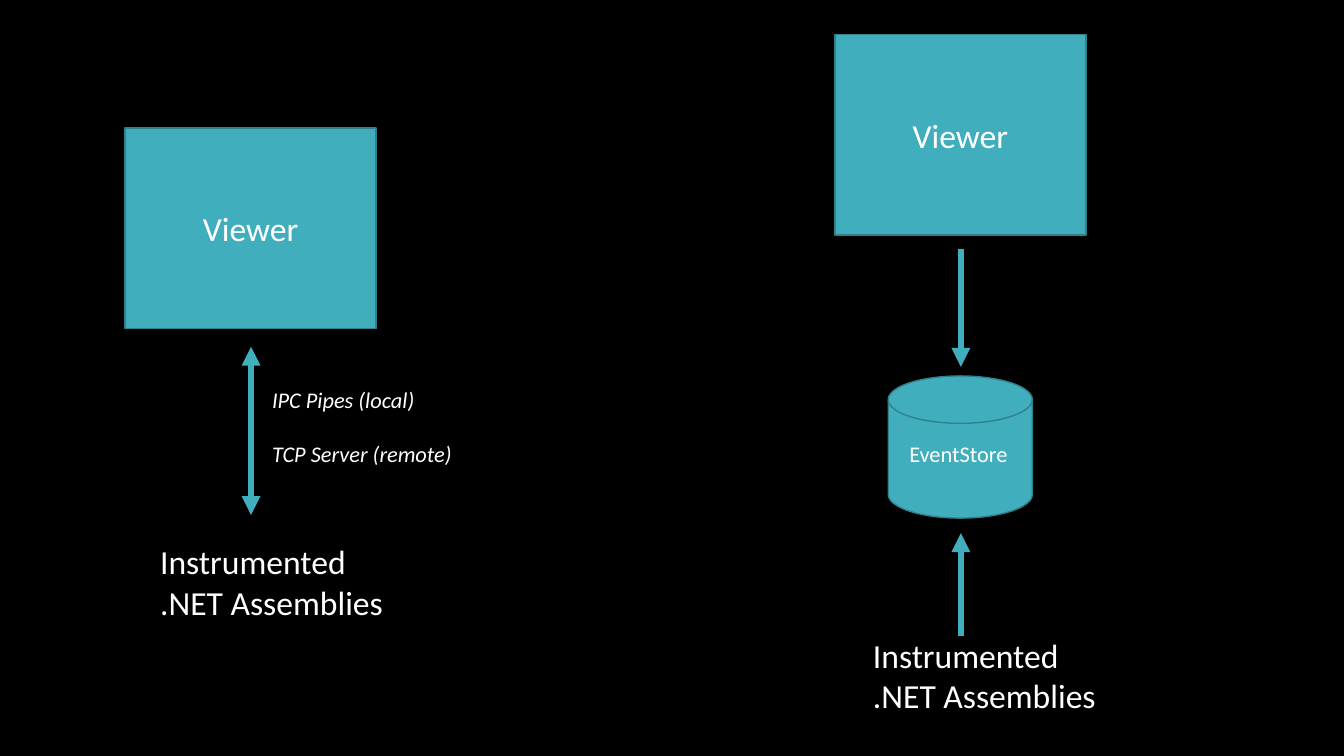
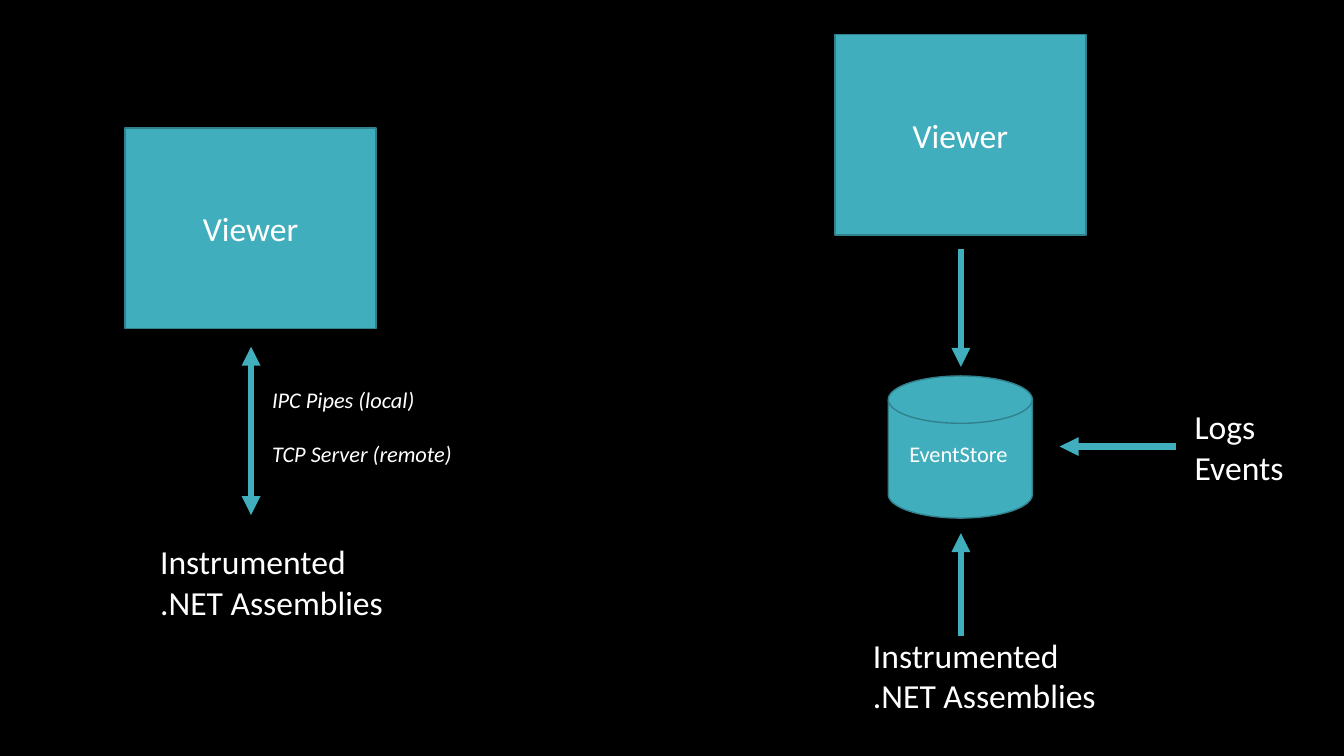
from lxml import etree
from pptx import Presentation
from pptx.dml.color import RGBColor
from pptx.enum.shapes import MSO_CONNECTOR, MSO_SHAPE
from pptx.enum.text import MSO_ANCHOR, MSO_AUTO_SIZE, PP_ALIGN
from pptx.oxml.ns import qn
from pptx.util import Inches, Pt

RECTANGLE = MSO_SHAPE.RECTANGLE
DISK = MSO_SHAPE.FLOWCHART_MAGNETIC_DISK
STRAIGHT = MSO_CONNECTOR.STRAIGHT
MIDDLE = MSO_ANCHOR.MIDDLE
CENTER = PP_ALIGN.CENTER
GROW = MSO_AUTO_SIZE.SHAPE_TO_FIT_TEXT

COLORS = {"background": "000000", "teal": "41AEBD", "outline": "30818C", "text": "FFFFFF"}
FONT = "Calibri"
LARGE, SMALL = 24, 16
VIEWER_W, VIEWER_H = 2.49, 1.99
AXIS = 1.25  # arrows run down the middle of the viewer
ASSEMBLIES = ["Instrumented", ".NET Assemblies"]


def color(name):
    return RGBColor.from_string(COLORS[name])


def write(frame, lines, size, italic=False, gap=0, align=None):
    """Write one paragraph per line, with a gap between paragraphs."""
    for index, line in enumerate(lines):
        paragraph = frame.paragraphs[0] if index == 0 else frame.add_paragraph()
        paragraph.alignment = align
        if index and gap:
            paragraph.space_before = Pt(gap)
        run = paragraph.add_run()
        run.text = line
        run.font.name = FONT
        run.font.size = Pt(size)
        run.font.italic = italic
        run.font.color.rgb = color("text")


def add_label(shapes, left, top, width, height, lines, size=LARGE, **style):
    box = shapes.add_textbox(Inches(left), Inches(top), Inches(width), Inches(height))
    box.text_frame.word_wrap = True
    box.text_frame.auto_size = GROW
    write(box.text_frame, lines, size, **style)


def add_block(shapes, kind, left, top, width, height):
    block = shapes.add_shape(kind, Inches(left), Inches(top), Inches(width), Inches(height))
    block.shadow.inherit = False
    block.fill.solid()
    block.fill.fore_color.rgb = color("teal")
    block.line.color.rgb = color("outline")
    block.line.width = Pt(1)
    return block


def add_viewer(shapes, left, top):
    frame = add_block(shapes, RECTANGLE, left, top, VIEWER_W, VIEWER_H).text_frame
    frame.vertical_anchor = MIDDLE
    write(frame, ["Viewer"], LARGE, align=CENTER)


def add_arrow(shapes, start, end, both_ends=False):
    arrow = shapes.add_connector(STRAIGHT, *(Inches(value) for value in start + end))
    arrow.line.color.rgb = color("teal")
    arrow.line.width = Pt(4.5)
    line = arrow.line._get_or_add_ln()
    for tag in ["a:headEnd", "a:tailEnd"] if both_ends else ["a:tailEnd"]:
        etree.SubElement(line, qn(tag)).set("type", "triangle")
    etree.SubElement(arrow._element.spPr, qn("a:effectLst"))


def draw_direct_link(slide, left, top):
    """Viewer talking straight to the assemblies."""
    shapes = slide.shapes.add_group_shape().shapes
    add_label(shapes, left + 0.25, top + 4.05, 2.8, 0.91, ASSEMBLIES)
    add_viewer(shapes, left, top)
    x = left + AXIS
    add_arrow(shapes, (x, top + 2.17), (x, top + 3.84), both_ends=True)
    # Transports beside the arrow
    add_label(shapes, left + 1.36, top + 2.51, 2.43, 0.91,
              ["IPC Pipes (local)", "TCP Server (remote)"], SMALL, italic=True, gap=19.5)


def draw_event_store(slide, left, top, with_logs):
    """Viewer and assemblies joined through a store, with logs if wanted."""
    shapes = slide.shapes.add_group_shape().shapes
    add_label(shapes, left + 0.28, top + 5.91, 2.8, 0.91, ASSEMBLIES)
    add_viewer(shapes, left, top)
    x = left + AXIS
    add_arrow(shapes, (x, top + 2.13), (x, top + 3.3))
    add_arrow(shapes, (x, top + 5.97), (x, top + 4.95))
    # Store
    add_block(shapes, DISK, left + 0.53, top + 3.39, 1.43, 1.41)
    add_label(shapes, left + 0.64, top + 3.98, 1.24, 0.37, ["EventStore"], SMALL)
    # Second source of events
    if with_logs:
        y = top + 4.09
        add_arrow(shapes, (left + 3.38, y), (left + 2.23, y))
        add_label(shapes, left + 3.47, top + 3.64, 1.51, 0.91, ["Logs", "Events"])


def main():
    prs = Presentation()
    prs.slide_width, prs.slide_height = Inches(13.33), Inches(7.5)
    backdrop = prs.slide_master.background.fill
    backdrop.solid()
    backdrop.fore_color.rgb = color("background")
    for with_logs in (False, True):
        slide = prs.slides.add_slide(prs.slide_layouts[6])
        draw_direct_link(slide, 1.24, 1.27)
        draw_event_store(slide, 8.28, 0.34, with_logs)
    prs.save("out.pptx")


if __name__ == "__main__":
    main()
